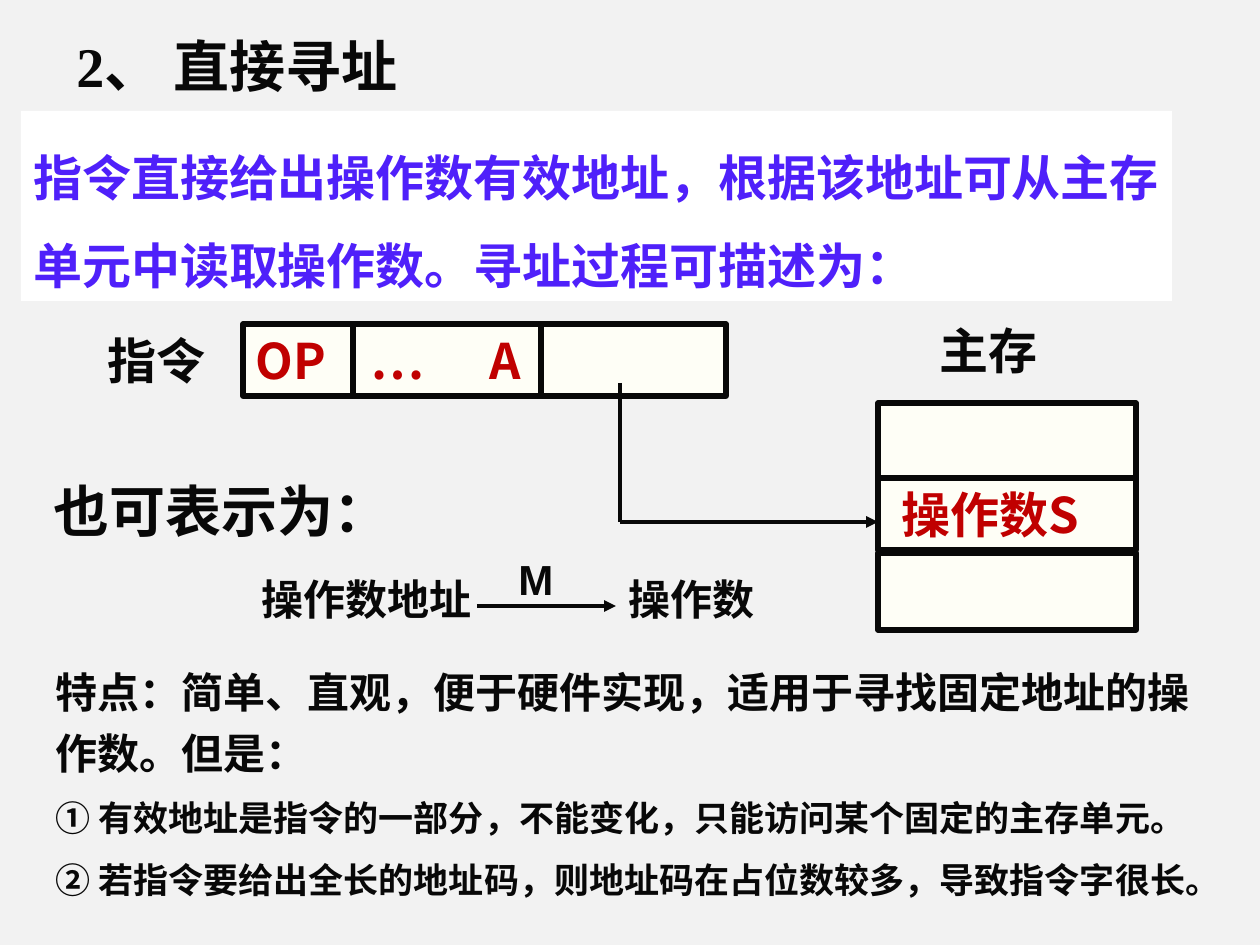
from lxml import etree
from pptx import Presentation
from pptx.dml.color import RGBColor
from pptx.enum.shapes import MSO_CONNECTOR, MSO_SHAPE
from pptx.enum.text import MSO_ANCHOR, PP_ALIGN
from pptx.oxml.ns import qn
from pptx.util import Emu, Pt

RECT, STRAIGHT = MSO_SHAPE.RECTANGLE, MSO_CONNECTOR.STRAIGHT
TOP, MIDDLE, BOTTOM = MSO_ANCHOR.TOP, MSO_ANCHOR.MIDDLE, MSO_ANCHOR.BOTTOM
LEFT = PP_ALIGN.LEFT
SCALE = 914400 / 126
COLORS = {"bg": "F2F2F2", "ink": "080808", "cell": "FEFEF6",
          "panel": "FFFFFF", "red": "C00000", "violet": "4F20FA"}
CJK = "Noto Sans CJK SC"
SERIF, SANS = "Times New Roman", "Arial"


def px(n):
    """Turn px into EMU."""
    return Emu(round(n * SCALE))


def rgb(name):
    """Return a named colour."""
    return RGBColor.from_string(COLORS[name])


def write(sp, lines, font, color="ink", anchor=MIDDLE, spacing=None, inset=None, tabs=()):
    """Fill a shape with (text, size) lines."""
    tf = sp.text_frame
    tf.word_wrap, tf.vertical_anchor = True, anchor
    if inset is not None:
        tf.margin_left = px(inset)
    for i, (text, size) in enumerate(lines):
        p = tf.add_paragraph() if i else tf.paragraphs[0]
        p.alignment = LEFT
        if spacing:
            p.line_spacing = Pt(spacing)
        if tabs:
            stops = etree.SubElement(p._p.get_or_add_pPr(), qn("a:tabLst"))
            for stop in tabs:
                etree.SubElement(stops, qn("a:tab"), pos=str(px(stop)), algn="l")
        r = p.add_run()
        r.text = text
        for key, value in {"name": font, "size": Pt(size), "bold": True}.items():
            setattr(r.font, key, value)
        r.font.color.rgb = rgb(color)
        etree.SubElement(r._r.get_or_add_rPr(), qn("a:ea"), typeface=CJK)


def label(shapes, x, y, w, h, text, size, font):
    """Add a one-line text box."""
    write(shapes.add_textbox(px(x), px(y), px(w), px(h)), [(text, size)], font)


def box(shapes, x, y, w, h, fill="cell", border=True):
    """Add a flat rectangle."""
    sp = shapes.add_shape(RECT, px(x), px(y), px(w), px(h))
    sp.shadow.inherit = False
    sp.fill.solid()
    sp.fill.fore_color.rgb = rgb(fill)
    if border:
        sp.line.color.rgb, sp.line.width = rgb("ink"), Pt(3)
    else:
        sp.line.fill.background()
    return sp


def line(shapes, x1, y1, x2, y2, width=2.25, arrow=False):
    """Add a straight line, with an arrowhead at its end if asked."""
    c = shapes.add_connector(STRAIGHT, px(x1), px(y1), px(x2), px(y2))
    c.line.color.rgb, c.line.width = rgb("ink"), Pt(width)
    if arrow:
        etree.SubElement(c.line._get_or_add_ln(), qn("a:tailEnd"), type="triangle")
    etree.SubElement(c._element.spPr, qn("a:effectLst"))


def heading(shapes, x, y, w, h):
    """Place the title and the definition panel."""
    label(shapes, x + 43, y, 504, 79, "2、 直接寻址", 32, SERIF)
    panel = box(shapes, x, y + 85, w, h - 85, "panel", False)
    text = "指令直接给出操作数有效地址，根据该地址可从主存单元中读取操作数。寻址过程可描述为："
    write(panel, [(text, 28)], SERIF, "violet", BOTTOM, 50.4)


def instruction(shapes, x, y, w, h):
    """Place the instruction word with its three fields."""
    label(shapes, x, y, 144, h, "指令", 28, SERIF)
    word = box(shapes, x + 148, y, w - 148, h)
    write(word, [("OP\t…\tA", 28)], CJK, "red", tabs=(115, 234))
    for divider in (258, 446):
        line(shapes, x + divider, y, x + divider, y + h, 3)


def memory(shapes, x, y, w, h):
    """Place the main memory column and its caption."""
    label(shapes, x + 49, y, 179, 72, "主存", 28, SANS)
    cell = h - 239
    cells = [box(shapes, x, y + top, w, height)
             for top, height in ((89, cell), (164, 72), (239, cell))]
    write(cells[1], [("操作数S", 28)], CJK, "red", inset=24)


def address_path(shapes, x, y, w, h):
    """Place the elbow from the address field to the memory cell."""
    line(shapes, x, y, x, y + h)
    line(shapes, x, y + h, x + w, y + h, arrow=True)


def mapping(shapes, x, y, w, h):
    """Place the grouped mapping from operand address to operand."""
    g = shapes.add_group_shape().shapes
    row, height = y + h - 63, 63
    label(g, x, row, 328, height, "操作数地址", 24, SANS)
    line(g, x + 228, row + 39, x + 367, row + 39, arrow=True)
    label(g, x + 367, row, w - 367, height, "操作数", 24, SANS)
    label(g, x + 257, y, 79, height, "M", 24, SANS)


def features(shapes, x, y, w, h):
    """Place the remarks."""
    lines = [
        ("特点：简单、直观，便于硬件实现，适用于寻找固定地址的操作数。但是：", 24),
        ("① 有效地址是指令的一部分，不能变化，只能访问某个固定的主存单元。", 20),
        ("② 若指令要给出全长的地址码，则地址码在占位数较多，导致指令字很长。", 20),
    ]
    write(shapes.add_textbox(px(x), px(y), px(w), px(h)), lines, SANS, anchor=TOP, spacing=35)


def main():
    """Build the slide."""
    prs = Presentation()
    prs.slide_width, prs.slide_height = px(1260), px(945)
    s = prs.slides.add_slide(prs.slide_layouts[6])
    s.background.fill.solid()
    s.background.fill.fore_color.rgb = rgb("bg")
    heading(s.shapes, 21, 26, 1151, 275)
    instruction(s.shapes, 95, 324, 631, 72)
    memory(s.shapes, 878, 314, 258, 316)
    address_path(s.shapes, 620, 383, 258, 139)
    label(s.shapes, 41, 471, 417, 79, "也可表示为：", 32, CJK)
    mapping(s.shapes, 249, 547, 556, 83)
    features(s.shapes, 43, 649, 1168, 259)
    prs.save("out.pptx")


if __name__ == "__main__":
    main()
